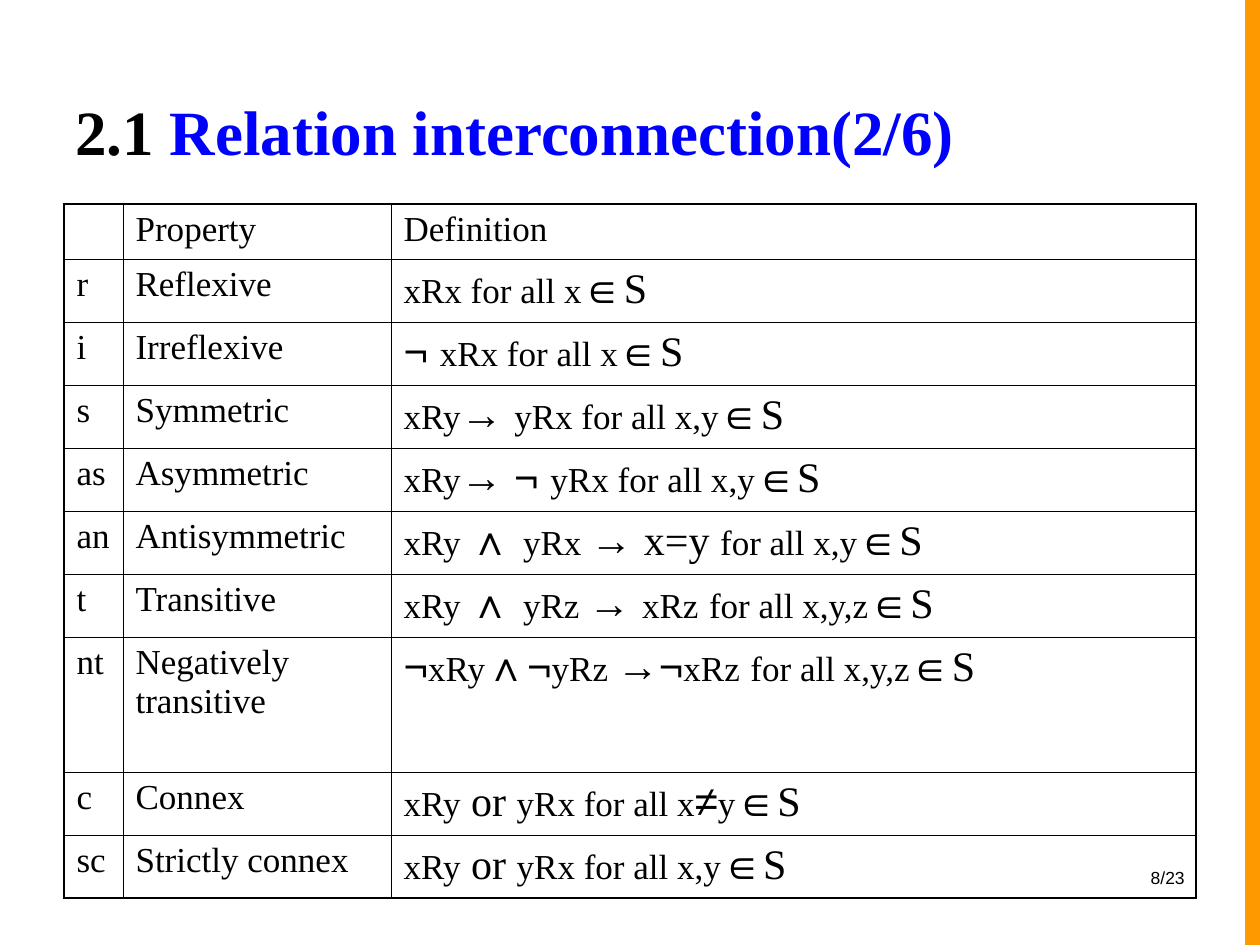
from lxml.etree import SubElement
from pptx import Presentation
from pptx.dml.color import RGBColor
from pptx.enum.shapes import MSO_SHAPE
from pptx.enum.text import MSO_ANCHOR, PP_ALIGN
from pptx.oxml.ns import qn
from pptx.util import Emu, Pt

PIXELS_PER_INCH = 126
SERIF = "Times New Roman"
SANS = "Arial"
SYMBOLS = "∈¬→∧≠"
LARGE_WORDS = ("S", " or ", "x=y ", " ")
COLUMN_WIDTHS = (59, 268, 805)
HEADER_HEIGHT, ROW_HEIGHT, TALL_ROW_HEIGHT = 55, 63, 135
THIN, THICK = 0.45, 1.08
HEADER = ("", "Property", "Definition")
PROPERTIES = (
    ("r", "Reflexive", "xRx for all x"),
    ("i", "Irreflexive", "¬ |xRx for all x"),
    ("s", "Symmetric", "xRy|→ |yRx for all x,y"),
    ("as", "Asymmetric", "xRy|→ ¬ |yRx for all x,y"),
    ("an", "Antisymmetric", "xRy |∧ |yRx |→ |x=y |for all x,y"),
    ("t", "Transitive", "xRy |∧ |yRz |→ |xRz| |for all x,y,z"),
    ("nt", "Negatively transitive", "¬|xRy|∧¬|yRz |→¬|xRz| |for all x,y,z"),
    ("c", "Connex", "xRy| or |yRx for all x|≠|y"),
    ("sc", "Strictly connex", "xRy| or |yRx for all x,y"),
)


def px(length):
    """Turn whole pixels into EMU."""
    return Emu(round(length * 914400 / PIXELS_PER_INCH))


def color(hex_string):
    """Return the colour for a hex string."""
    return RGBColor.from_string(hex_string)


def add_run(paragraph, text, size, font_name=SERIF, hex_string="000000", bold=False):
    """Append one formatted run to a paragraph."""
    run = paragraph.add_run()
    run.text = text
    run.font.size = Pt(size)
    run.font.name = font_name
    run.font.bold = bold
    run.font.color.rgb = color(hex_string)


def add_text_box(slide, left, top, width, height):
    """Add a wrapping text box and return its text frame."""
    text_frame = slide.shapes.add_textbox(px(left), px(top), px(width), px(height)).text_frame
    text_frame.word_wrap = True
    return text_frame


def add_side_band(slide):
    """Draw the orange band along the right edge."""
    band = slide.shapes.add_shape(MSO_SHAPE.RECTANGLE, px(1245), px(0), px(20), px(945))
    band.shadow.inherit = False
    band.fill.solid()
    band.fill.fore_color.rgb = color("FF9900")
    band.line.fill.background()


def add_page_number(slide):
    """Write the page number at the lower right."""
    paragraph = add_text_box(slide, 903, 861, 294, 63).paragraphs[0]
    paragraph.alignment = PP_ALIGN.RIGHT
    add_run(paragraph, "8/23", 10, SANS)


def add_title(slide):
    """Write the two-coloured title."""
    text_frame = add_text_box(slide, 63, 16, 1133, 158)
    text_frame.vertical_anchor = MSO_ANCHOR.BOTTOM
    paragraph = text_frame.paragraphs[0]
    add_run(paragraph, "2.1 ", 36, bold=True)
    add_run(paragraph, "Relation interconnection(2/6)", 36, hex_string="0000FF", bold=True)


def add_definition(paragraph, definition):
    """Write a formula whose symbols and large words stand out."""
    for piece in f"{definition}|∈|S".split("|"):
        is_symbol = piece[0] in SYMBOLS
        size = 24 if is_symbol or piece in LARGE_WORDS else 20
        add_run(paragraph, piece, size, SANS if is_symbol else SERIF)


def set_borders(cell, outer_sides):
    """Draw black cell borders, thicker on the outer sides."""
    properties = cell._tc.get_or_add_tcPr()
    for side in "LRTB":
        width = Pt(THICK if side in outer_sides else THIN)
        line = SubElement(properties, qn(f"a:ln{side}"), w=str(int(width)))
        fill = SubElement(line, qn("a:solidFill"))
        SubElement(fill, qn("a:srgbClr"), val="000000")


def add_property_table(slide):
    """Build the table of relation properties."""
    rows = (HEADER,) + PROPERTIES
    heights = [TALL_ROW_HEIGHT if row[0] == "nt" else ROW_HEIGHT for row in rows]
    heights[0] = HEADER_HEIGHT
    table = slide.shapes.add_table(
        len(rows), len(HEADER), px(64), px(204), px(sum(COLUMN_WIDTHS)), px(sum(heights))
    ).table
    table.first_row = table.horz_banding = False
    for column, width in zip(table.columns, COLUMN_WIDTHS):
        column.width = px(width)
    for row_index, (row, height) in enumerate(zip(rows, heights)):
        table.rows[row_index].height = px(height)
        for column_index, text in enumerate(row):
            cell = table.cell(row_index, column_index)
            edges = {
                "L": column_index == 0,
                "R": column_index == len(HEADER) - 1,
                "T": row_index == 0,
                "B": row_index == len(rows) - 1,
            }
            set_borders(cell, [side for side, is_outer in edges.items() if is_outer])
            cell.fill.background()
            paragraph = cell.text_frame.paragraphs[0]
            if edges["R"] and not edges["T"]:
                add_definition(paragraph, text)
            elif text:
                add_run(paragraph, text, 20)


def main():
    """Build and save the slide."""
    presentation = Presentation()
    presentation.slide_width, presentation.slide_height = px(1260), px(945)
    slide = presentation.slides.add_slide(presentation.slide_layouts[6])
    add_side_band(slide)
    add_page_number(slide)
    add_title(slide)
    add_property_table(slide)
    presentation.save("out.pptx")


if __name__ == "__main__":
    main()
